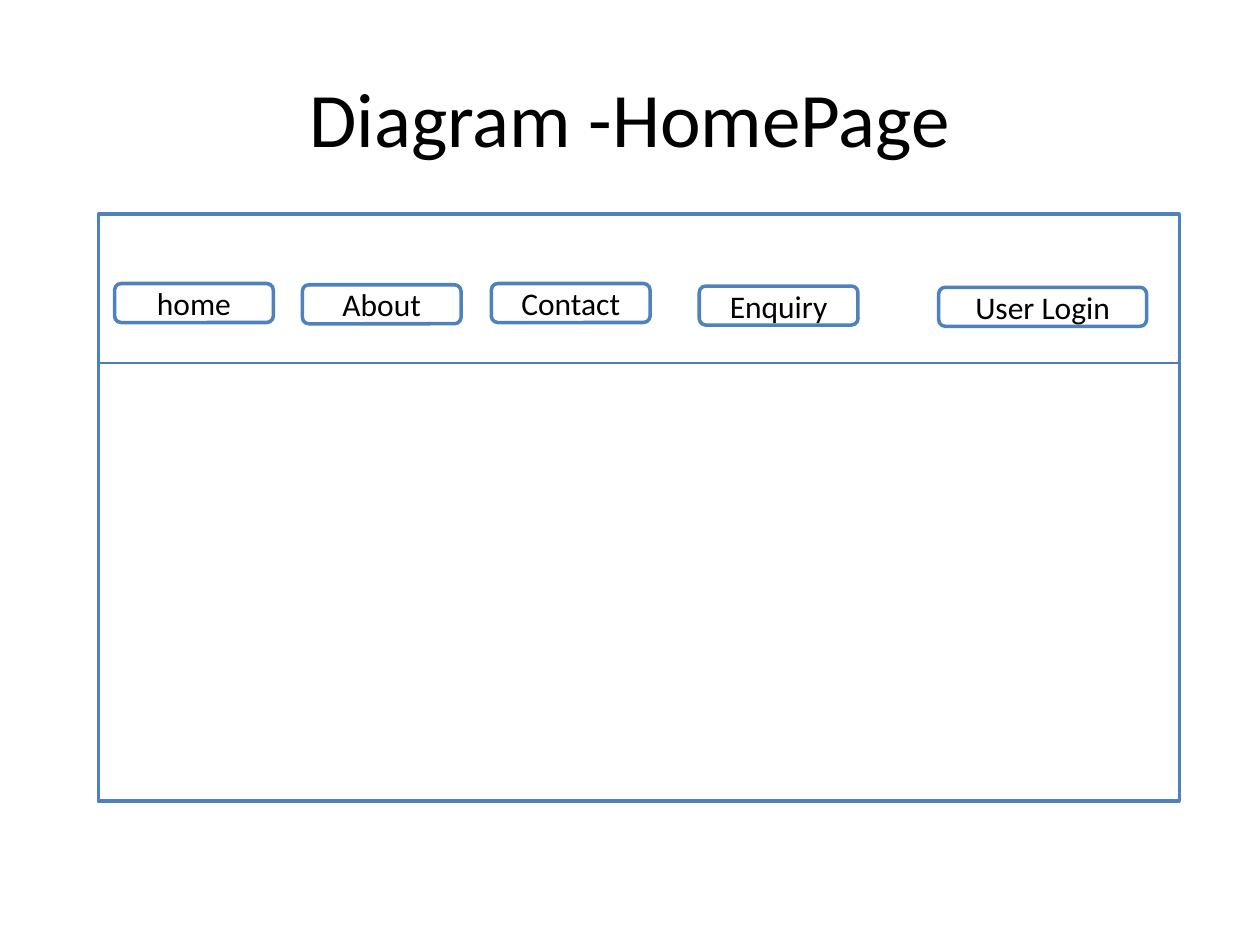
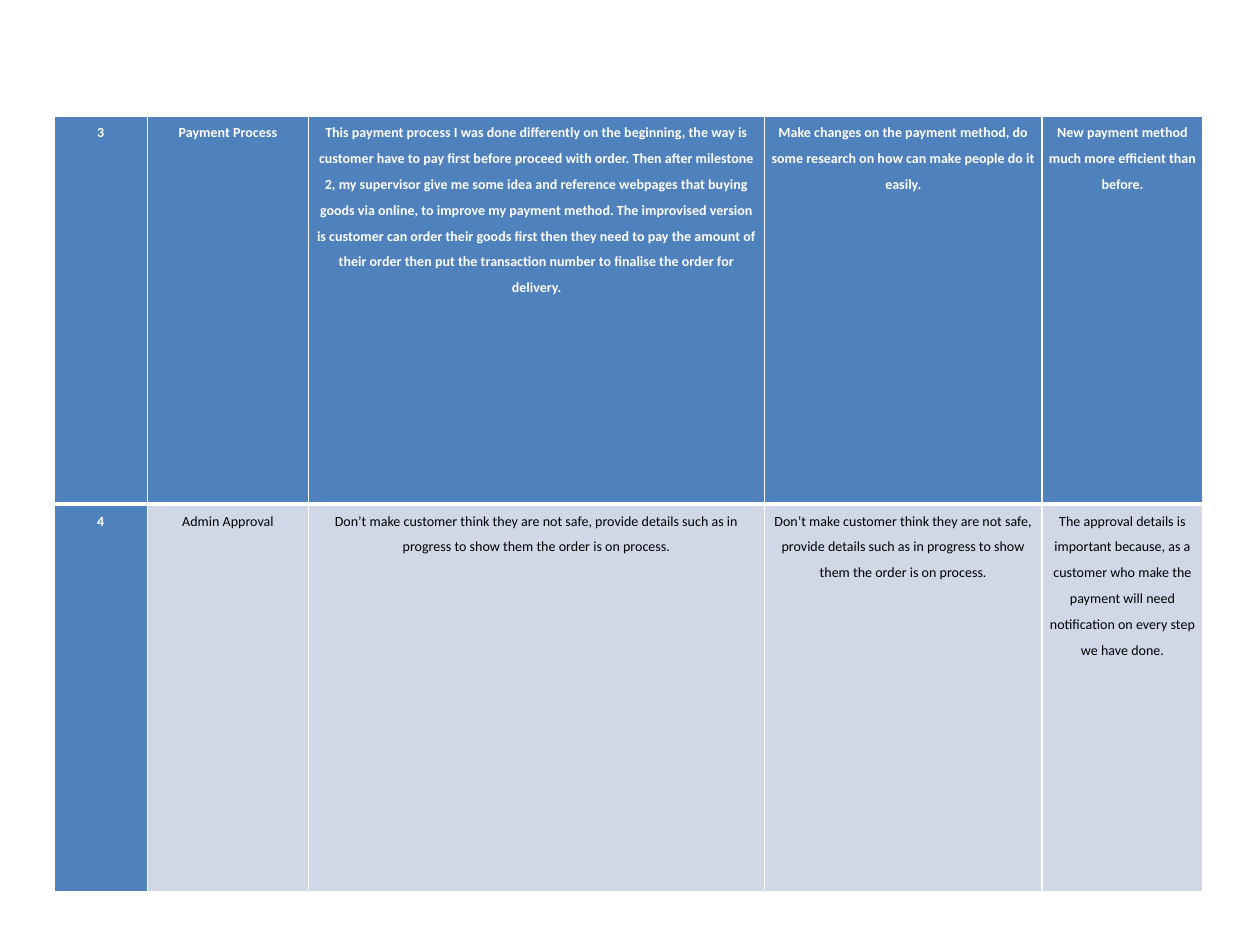
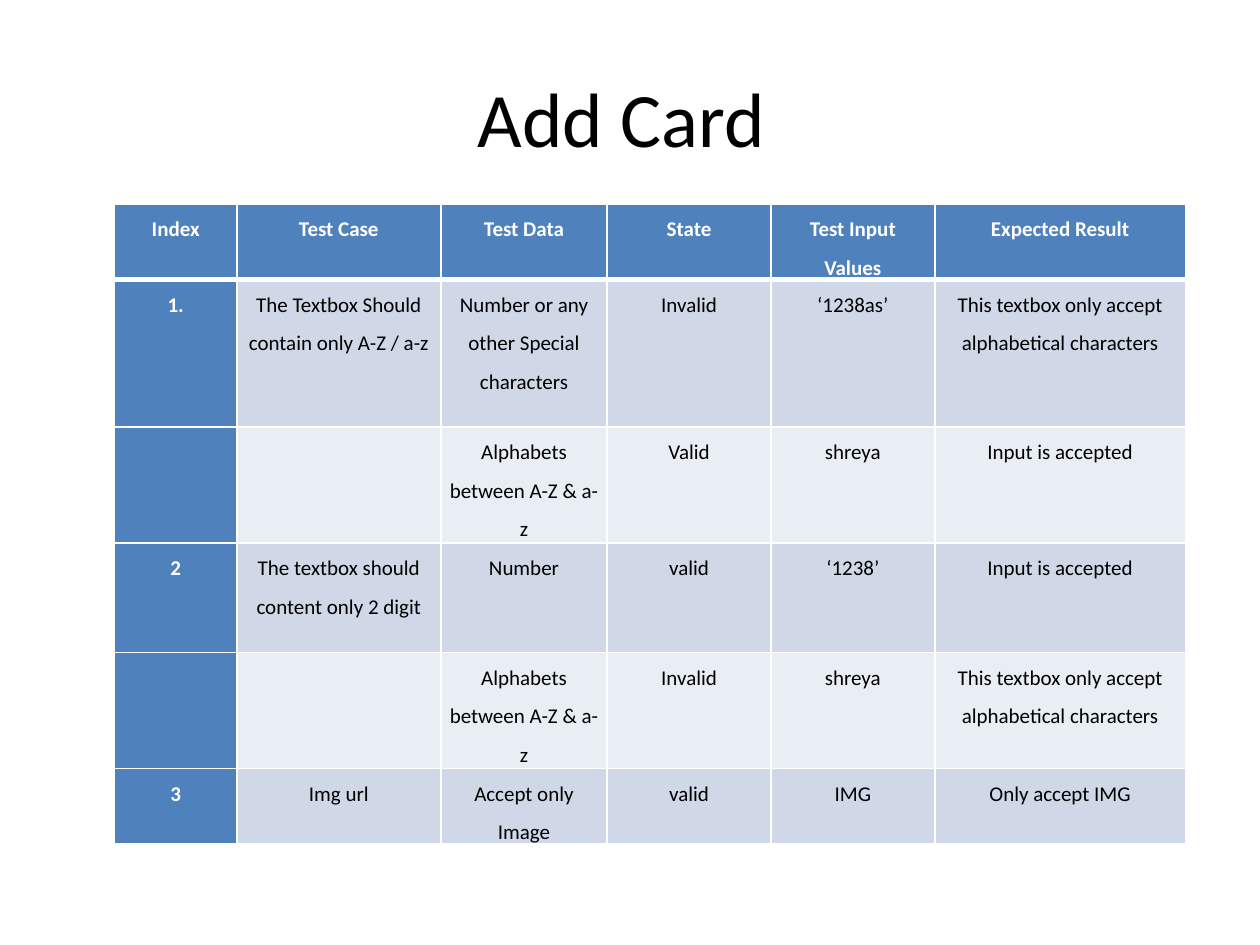
from lxml.etree import SubElement
from pptx import Presentation
from pptx.dml.color import RGBColor
from pptx.enum.shapes import MSO_CONNECTOR as CONNECTOR, MSO_SHAPE as SHAPE
from pptx.enum.text import MSO_ANCHOR as ANCHOR, PP_ALIGN as ALIGN
from pptx.oxml.ns import qn
from pptx.util import Inches, Pt

COLORS = {
    "blue": "4F81BD", "divider": "4B7EBC", "band": "D0D8E8",
    "light band": "E9EDF4", "white": "FFFFFF", "black": "000000",
}
RGB = {name: RGBColor.from_string(value) for name, value in COLORS.items()}


def write(frame, text, size, color="black", bold=False, spacing=1.0):
    """Put one centred paragraph into a text frame."""
    frame.word_wrap = True
    paragraph = frame.paragraphs[0]
    paragraph.text = text
    paragraph.alignment = ALIGN.CENTER
    paragraph.line_spacing = spacing
    font_format = {"name": "Calibri", "size": Pt(size), "bold": bold}
    for target in [paragraph.font] + [run.font for run in paragraph.runs]:
        for attribute, value in font_format.items():
            setattr(target, attribute, value)
        target.color.rgb = RGB[color]


def add_grid(slide, left, top, widths, heights, rows, size, inset):
    """Add a table with a blue header row and first column, and banded rows."""
    table = slide.shapes.add_table(
        len(rows), len(widths), Inches(left), Inches(top),
        Inches(sum(widths)), Inches(sum(heights))).table
    for column, width in zip(table.columns, widths):
        column.width = Inches(width)
    for row, height in zip(table.rows, heights):
        row.height = Inches(height)

    margins = {"margin_left": inset, "margin_right": inset,
               "margin_top": 0, "margin_bottom": 0}
    for r, texts in enumerate(rows):
        borders = {"lnL": 1, "lnR": 1,
                   "lnT": 3 if r == 1 else 1, "lnB": 3 if r == 0 else 1}
        for c, text in enumerate(texts):
            cell = table.cell(r, c)
            heading = r == 0 or c == 0
            for attribute, value in margins.items():
                setattr(cell, attribute, Inches(value))
            properties = cell._tc.get_or_add_tcPr()
            for side, points in borders.items():
                border = SubElement(properties, qn(f"a:{side}"), w=str(Pt(points)))
                fill = SubElement(border, qn("a:solidFill"))
                SubElement(fill, qn("a:srgbClr"), val=COLORS["white"])
            band = "band" if r % 2 else "light band"
            cell.fill.solid()
            cell.fill.fore_color.rgb = RGB["blue" if heading else band]
            write(cell.text_frame, text, size,
                  "white" if heading else "black", heading, 1.5)


deck = Presentation()
deck.slide_width, deck.slide_height = Inches(10), Inches(7.5)

slides = []
for title in ("Diagram -HomePage", None, "Add Card "):
    slide = deck.slides.add_slide(deck.slide_layouts[6])
    slides.append(slide)
    if title:
        heading_box = slide.shapes.add_textbox(
            Inches(0.5), Inches(0.3), Inches(9), Inches(1.25))
        heading_box.text_frame.vertical_anchor = ANCHOR.MIDDLE
        write(heading_box.text_frame, title, 44)
home_page, process_review, add_card = slides

# Home page wireframe: page frame, menu buttons, header divider
wireframe = [
    (SHAPE.RECTANGLE, "", 0.78, 1.7, 8.58, 4.66),
    (SHAPE.ROUNDED_RECTANGLE, "home", 0.91, 2.25, 1.26, 0.31),
    (SHAPE.ROUNDED_RECTANGLE, "About", 2.4, 2.26, 1.26, 0.31),
    (SHAPE.ROUNDED_RECTANGLE, "Contact", 3.9, 2.25, 1.26, 0.31),
    (SHAPE.ROUNDED_RECTANGLE, "Enquiry", 5.55, 2.27, 1.26, 0.31),
    (SHAPE.ROUNDED_RECTANGLE, "User Login", 7.45, 2.28, 1.65, 0.31),
]
for outline, label, *place in wireframe:
    part = home_page.shapes.add_shape(outline, *map(Inches, place))
    part.shadow.inherit = False
    part.fill.solid()
    part.fill.fore_color.rgb = RGB["white"]
    part.line.color.rgb = RGB["blue"]
    part.line.width = Pt(2)
    if label:
        part.text_frame.vertical_anchor = ANCHOR.MIDDLE
        write(part.text_frame, label, 18)

divider = home_page.shapes.add_connector(
    CONNECTOR.STRAIGHT, Inches(0.78), Inches(2.88), Inches(9.36), Inches(2.88))
divider.line.color.rgb = RGB["divider"]
divider.line.width = Pt(0.75)
SubElement(divider._element.spPr, qn("a:effectLst"))

# Process review
reassurance = ("Don’t make customer think they are not safe, provide details such "
               "as in progress to show them the order is on process.")
processes = [
    ("3", "Payment Process",
     "This payment process I was done differently on the beginning, the way is "
     "customer have to pay first before proceed with order. Then after milestone 2, "
     "my supervisor give me some idea and reference webpages that buying goods via "
     "online, to improve my payment method. The improvised version is customer can "
     "order their goods first then they need to pay the amount of their order then "
     "put the transaction number to finalise the order for delivery.",
     "Make changes on the payment method, do some research on how can make people "
     "do it easily.",
     "New payment method much more efficient than before."),
    ("4", "Admin Approval", reassurance, reassurance,
     "The approval details is important because, as a customer who make the payment "
     "will need notification on every step we have done."),
]
add_grid(process_review, 0.43, 0.92, [0.74, 1.28, 3.62, 2.2, 1.28],
         [3.08, 3.08], processes, size=8, inset=0.05)

# Test cases for adding a card
alphabets = "Alphabets between A-Z & a-z"
accepted = "Input is accepted"
rejected = "This textbox only accept alphabetical characters"
test_cases = [
    ("Index", "Test Case", "Test Data", "State", "Test Input Values", "Expected Result"),
    ("1.", "The Textbox Should contain only A-Z / a-z",
     "Number or any other Special characters", "Invalid", "‘1238as’", rejected),
    ("", "", alphabets, "Valid", "shreya", accepted),
    ("2", "The textbox should content only 2 digit", "Number", "valid", "‘1238’", accepted),
    ("", "", alphabets, "Invalid", "shreya", rejected),
    ("3", "Img url", "Accept only Image", "valid", "IMG", "Only accept IMG"),
]
add_grid(add_card, 0.91, 1.62, [0.97, 1.62, 1.32, 1.3, 1.3, 1.99],
         [0.6, 1.17, 0.92, 0.87, 0.92, 0.6], test_cases, size=12, inset=0.07)

deck.save("out.pptx")
